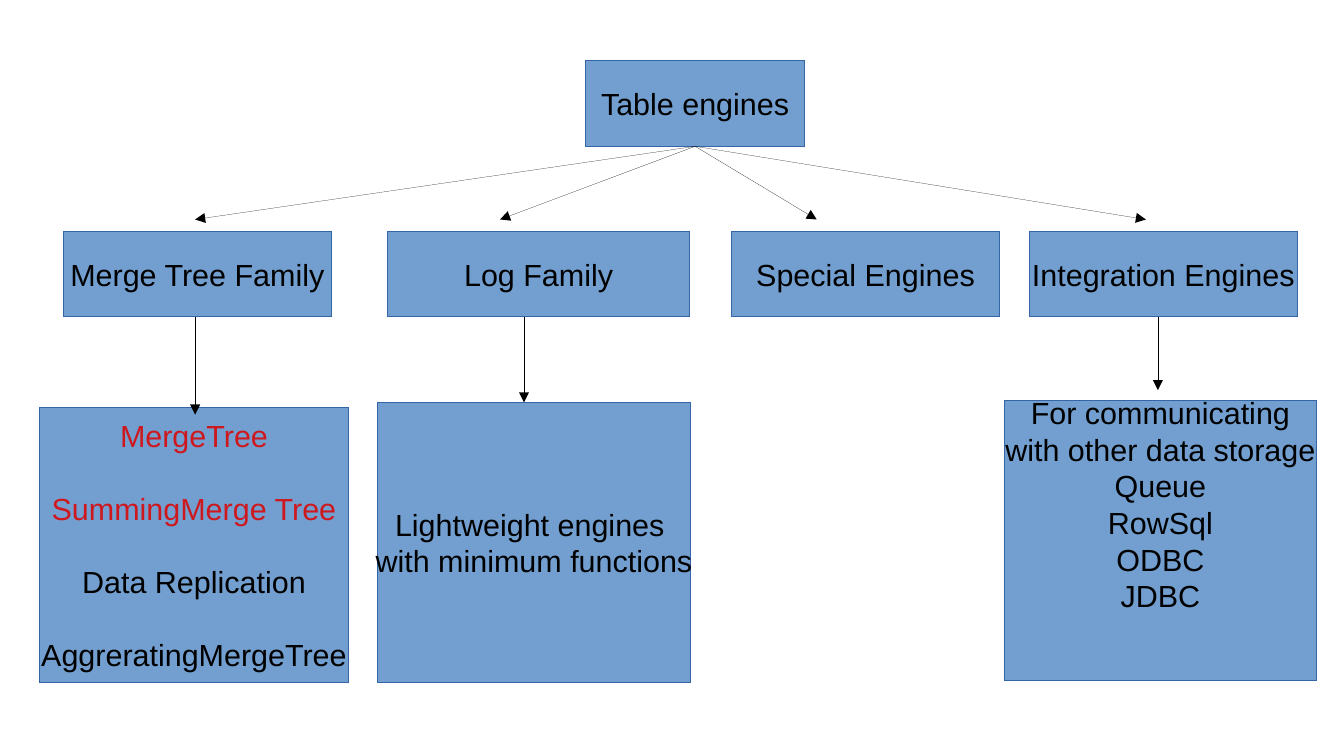
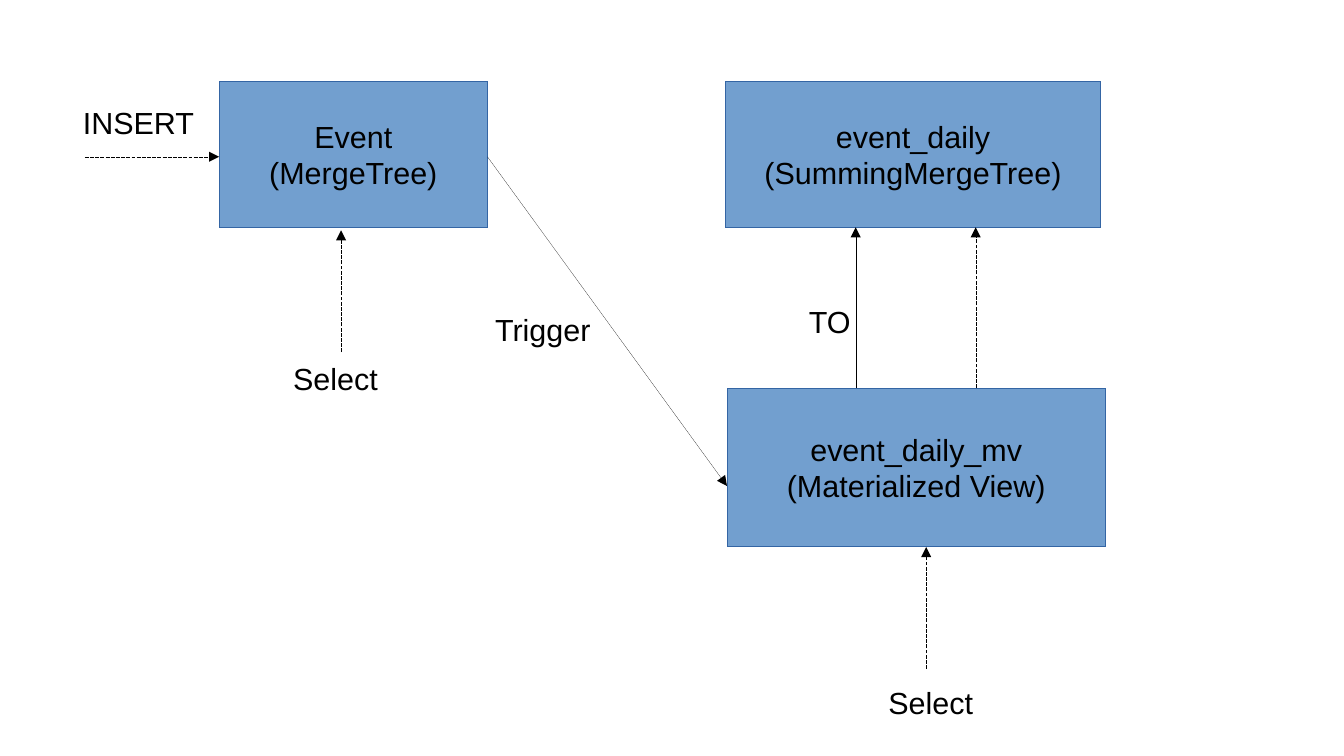
from pptx import Presentation
from pptx import util as u
from pptx.dml.color import RGBColor
from pptx.enum import dml, shapes, text
from pptx.oxml.ns import qn
from lxml import etree

NODE_FILL = RGBColor(0x72, 0x9F, 0xCF)
NODE_EDGE = RGBColor(0x34, 0x65, 0xA4)
INK = RGBColor(0, 0, 0)
RED = RGBColor(0xCE, 0x18, 0x1E)
FONT, TEXT_SIZE = "Arial", u.Pt(18)


def add_box(slide, place, lines, node=True):
    """Add a filled diagram node, or a plain label when node is False."""
    area = [u.Pt(length) for length in place]
    if node:
        box = slide.shapes.add_shape(shapes.MSO_SHAPE.RECTANGLE, *area)
        box.shadow.inherit = False
        box.fill.solid()
        box.fill.fore_color.rgb = NODE_FILL
        box.line.color.rgb = NODE_EDGE
        box.element.spPr.find(qn("a:ln")).set("w", "0")
    else:
        box = slide.shapes.add_textbox(*area)
    frame = box.text_frame
    frame.word_wrap = False
    frame.vertical_anchor = text.MSO_ANCHOR.MIDDLE if node else text.MSO_ANCHOR.TOP
    frame.text = "\n".join(lines)
    for paragraph in frame.paragraphs:
        paragraph.alignment = text.PP_ALIGN.CENTER if node else text.PP_ALIGN.LEFT
        paragraph.font.name = FONT
        paragraph.font.size = TEXT_SIZE
        paragraph.font.color.rgb = INK
    return frame


def add_arrow(slide, start, end, dashed=False):
    """Add a hairline arrow from start to end."""
    arrow = slide.shapes.add_connector(
        shapes.MSO_CONNECTOR.STRAIGHT, *[u.Pt(v) for v in (*start, *end)])
    arrow.line.color.rgb = INK
    if dashed:
        arrow.line.dash_style = dml.MSO_LINE.SQUARE_DOT
    properties = arrow.element.spPr
    outline = properties.find(qn("a:ln"))
    outline.set("w", "0")
    etree.SubElement(outline, qn("a:tailEnd"), type="triangle")
    etree.SubElement(properties, qn("a:effectLst"))


prs = Presentation()
prs.slide_width, prs.slide_height = u.Pt(793.44), u.Pt(446.4)
blank = prs.slide_layouts[6]

# Slide 1: tree of table engines
engines = prs.slides.add_slide(blank)
ROW_HEIGHT = 50.4
ROOT_TOP, FAMILY_TOP = 36, 136.8
FAMILY_BOTTOM = FAMILY_TOP + ROW_HEIGHT
add_box(engines, (345.6, ROOT_TOP, 129.6, ROW_HEIGHT), ["Table engines"])

# Families: name, left, width, x of the arrow from the root
families = [
    ("Merge Tree Family", 37.4, 158.4, 115.2),
    ("Log Family", 228.8, 178.4, 295.2),
    ("Special Engines", 431.8, 158.4, 482.2),
    ("Integration Engines", 607.6, 158.4, 676.5),
]
for name, left, width, arrow_x in families:
    add_box(engines, (left, FAMILY_TOP, width, ROW_HEIGHT), [name])
    add_arrow(engines, (410.4, ROOT_TOP + ROW_HEIGHT), (arrow_x, 129.6))

# Members of each family
merge_tree = add_box(
    engines, (23.2, 240.5, 182.7, 162.7),
    ["MergeTree", "SummingMerge Tree", "Data Replication", "AggreratingMergeTree"])
for paragraph in merge_tree.paragraphs[1:]:
    paragraph.space_before = u.Pt(21.6)
for paragraph in merge_tree.paragraphs[:2]:
    paragraph.font.color.rgb = RED

add_box(engines, (223, 237.5, 184.6, 165.6),
        ["Lightweight engines ", "with minimum functions"])

# The text block sits two lines above the bottom of its node
integration = add_box(
    engines, (592.9, 236.4, 184.4, 165.4),
    ["For communicating", "with other data storage", "Queue", "RowSql", "ODBC", "JDBC"])
integration.margin_top = 0
integration.margin_bottom = u.Pt(43)

for x, end_y in [(115.2, 244.8), (309.4, 237.6), (683.6, 230.4)]:
    add_arrow(engines, (x, FAMILY_BOTTOM), (x, end_y))

# Slide 2: flow of events into the materialized view
flow = prs.slides.add_slide(blank)
tables = [
    ((129.4, 48, 158.4, 86.4), ["Event", "(MergeTree)"]),
    ((428.4, 48, 221.2, 86.4), ["event_daily", "(SummingMergeTree)"]),
    ((429.2, 229.2, 223.4, 93.6), ["event_daily_mv", "(Materialized View)"]),
]
for place, lines in tables:
    add_box(flow, place, lines)

# Writes are solid, client queries and inserts are dashed
arrows = [
    ((287.8, 92.6), (429.2, 287), False),
    ((505.2, 229.2), (505.2, 134.2), False),
    ((576, 229.2), (576, 134.2), True),
    ((50.2, 92.6), (129.4, 92.6), True),
    ((201.4, 208), (201.4, 136), True),
    ((546.8, 395), (546.8, 323), True),
]
for start, end, dashed in arrows:
    add_arrow(flow, start, end, dashed)

labels = [
    ("INSERT", 41.8, 58, 84),
    ("Trigger", 285.2, 180.2, 74),
    ("TO", 470.4, 175.5, 42),
    ("Select", 166, 209.3, 70),
    ("Select", 517.4, 400.4, 70),
]
for label, left, top, width in labels:
    add_box(flow, (left, top, width, 27.4), [label], node=False)

prs.save("out.pptx")
